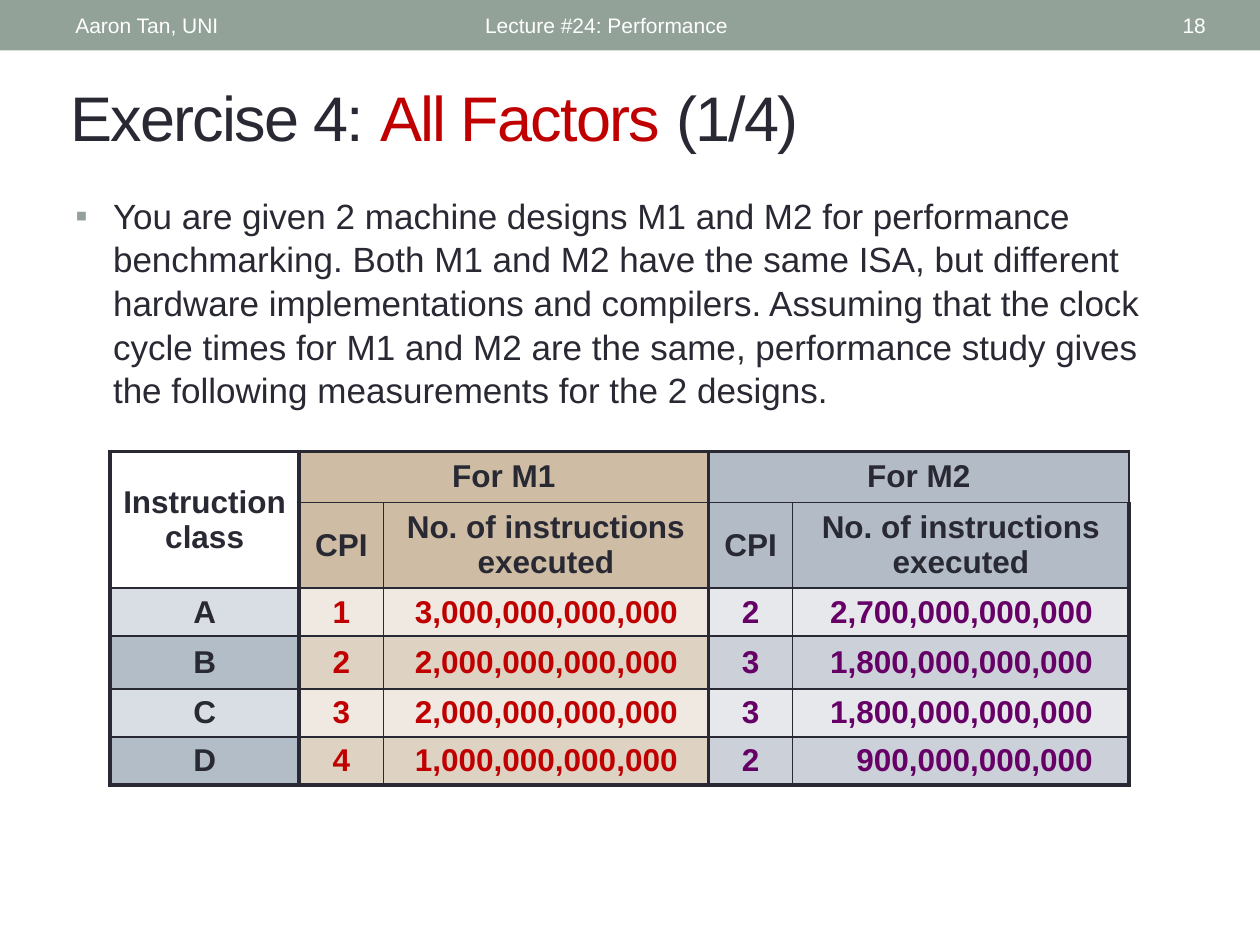
import pptx
import pptx.dml.color
import pptx.enum.shapes
import pptx.enum.text
import pptx.oxml
import pptx.util
from pptx.util import Cm, Pt

INK = "292934"
RED = "C00000"
SAGE = "93A299"
NAMESPACE = 'xmlns:a="http://schemas.openxmlformats.org/drawingml/2006/main"'
ALIGN = pptx.enum.text.PP_ALIGN
MIDDLE = pptx.enum.text.MSO_ANCHOR.MIDDLE


def rgb(value):
    """Turn a hex string into a colour."""
    return pptx.dml.color.RGBColor.from_string(value)


def add_text(slide, box, pieces, size, align=ALIGN.LEFT, anchor=MIDDLE):
    """Add a text box of (text, colour) pieces and return its paragraph."""
    frame = slide.shapes.add_textbox(*[Cm(length) for length in box]).text_frame
    frame.word_wrap = True
    frame.vertical_anchor = anchor
    paragraph = frame.paragraphs[0]
    paragraph.alignment = align
    paragraph.font.size = Pt(size)
    paragraph.font.name = "Arial"
    for text, color in pieces:
        run = paragraph.add_run()
        run.text = text
        run.font.color.rgb = rgb(color)
    return paragraph


presentation = pptx.Presentation()
presentation.slide_width = Cm(25.4)
presentation.slide_height = Cm(19.05)
slide = presentation.slides.add_slide(presentation.slide_layouts[6])

# Header band
band = slide.shapes.add_shape(
    pptx.enum.shapes.MSO_SHAPE.RECTANGLE, 0, 0, presentation.slide_width, Cm(1.02))
band.shadow.inherit = False
band.fill.solid()
band.fill.fore_color.rgb = rgb(SAGE)
band.line.fill.background()
for left, width, text, align in [
    (9.53, 11.43, "Lecture #24: Performance", ALIGN.LEFT),
    (1.27, 8.05, "Aaron Tan, UNI", ALIGN.LEFT),
    (22.15, 2.41, "18", ALIGN.RIGHT),
]:
    add_text(slide, (left, 0.05, width, 0.91), [(text, "FFFFFF")], 12, align)

# Title
title = add_text(
    slide, (1.17, 1.45, 23.39, 1.78),
    [("Exercise 4: ", INK), ("All Factors ", RED), ("(1/4)", INK)], 36)
for run in title.runs:
    run.font._element.set("spc", "-100")

# Question
question = add_text(
    slide, (1.27, 3.76, 22.66, 4.88),
    [("You are given 2 machine designs M1 and M2 for performance benchmarking. "
      "Both M1 and M2 have the same ISA, but different hardware implementations "
      "and compilers. Assuming that the clock cycle times for M1 and M2 are the "
      "same, performance study gives the following measurements for the 2 designs.",
      INK)],
    20, anchor=pptx.enum.text.MSO_ANCHOR.TOP)
question.line_spacing = 1.04
properties = question._p.get_or_add_pPr()
properties.set("marL", str(Cm(0.76)))
properties.set("indent", str(-Cm(0.76)))
bullet = [f'<a:buClr {NAMESPACE}><a:srgbClr val="{SAGE}"/></a:buClr>',
          f'<a:buFont {NAMESPACE} typeface="Arial"/>',
          f'<a:buChar {NAMESPACE} char="\u25aa"/>']
position = 1  # after the line spacing
for offset, markup in enumerate(bullet):
    properties.insert(position + offset, pptx.oxml.parse_xml(markup))

# Measurements
rows = [
    ["Instruction class", "For M1", "", "For M2", ""],
    ["", "CPI", "No. of instructions executed", "CPI", "No. of instructions executed"],
    ["A", "1", "3,000,000,000,000", "2", "2,700,000,000,000"],
    ["B", "2", "2,000,000,000,000", "3", "1,800,000,000,000"],
    ["C", "3", "2,000,000,000,000", "3", "1,800,000,000,000"],
    ["D", "4", "1,000,000,000,000", "2", "900,000,000,000"],
]
column_widths = [3.81, 1.7, 6.55, 1.7, 6.78]
row_heights = [1.03, 1.67, 0.97, 1.06, 0.97, 0.97]
# Fills of each column group: header, odd row, even row
group_fills = [("FFFFFF", "D9DEE4", "B3BDC8"),
               ("CEBCA4", "EFE9E1", "DED2C2"),
               ("B3BBC6", "E6E8EC", "CCD1D9")]
group_colors = [INK, RED, "660066"]
vertical_lines = [2.25, 2.25, 1, 2.25, 1, 2.25]
horizontal_lines = [2.25, 1, 1.5, 1, 1, 1, 2.25]
number_margins = {2: 0.62, 4: 0.73}

table = slide.shapes.add_table(
    len(rows), len(column_widths), Cm(2.22), Cm(9.1),
    Cm(sum(column_widths)), Cm(sum(row_heights))).table
for column, width in zip(table.columns, column_widths):
    column.width = Cm(width)
for row, height in zip(table.rows, row_heights):
    row.height = Cm(height)
for first, last in [((0, 0), (1, 0)), ((0, 1), (0, 2)), ((0, 3), (0, 4))]:
    table.cell(*first).merge(table.cell(*last))

for r, texts in enumerate(rows):
    for c, text in enumerate(texts):
        cell = table.cell(r, c)
        group = (c + 1) // 2
        is_header = r < 2
        is_count = not is_header and c in number_margins
        cell.vertical_anchor = MIDDLE
        cell.margin_top = cell.margin_bottom = Cm(0.1)
        cell.margin_left = Cm(0.2)
        cell.margin_right = Cm(number_margins[c] if is_count else 0.2)
        borders = {"lnL": vertical_lines[c], "lnR": vertical_lines[c + 1],
                   "lnT": horizontal_lines[r], "lnB": horizontal_lines[r + 1]}
        for tag, width in borders.items():
            cell._tc.get_or_add_tcPr().append(pptx.oxml.parse_xml(
                f'<a:{tag} {NAMESPACE} w="{Pt(width)}"><a:solidFill>'
                f'<a:srgbClr val="{INK}"/></a:solidFill></a:{tag}>'))
        cell.fill.solid()
        cell.fill.fore_color.rgb = rgb(group_fills[group][0 if is_header else 1 + r % 2])
        if text:
            cell.text = text
        paragraph = cell.text_frame.paragraphs[0]
        paragraph.alignment = ALIGN.RIGHT if is_count else ALIGN.CENTER
        paragraph.font.name = "Arial"
        paragraph.font.size = Pt(18)
        paragraph.font.bold = True
        paragraph.font.color.rgb = rgb(INK if is_header else group_colors[group])

presentation.save("out.pptx")
